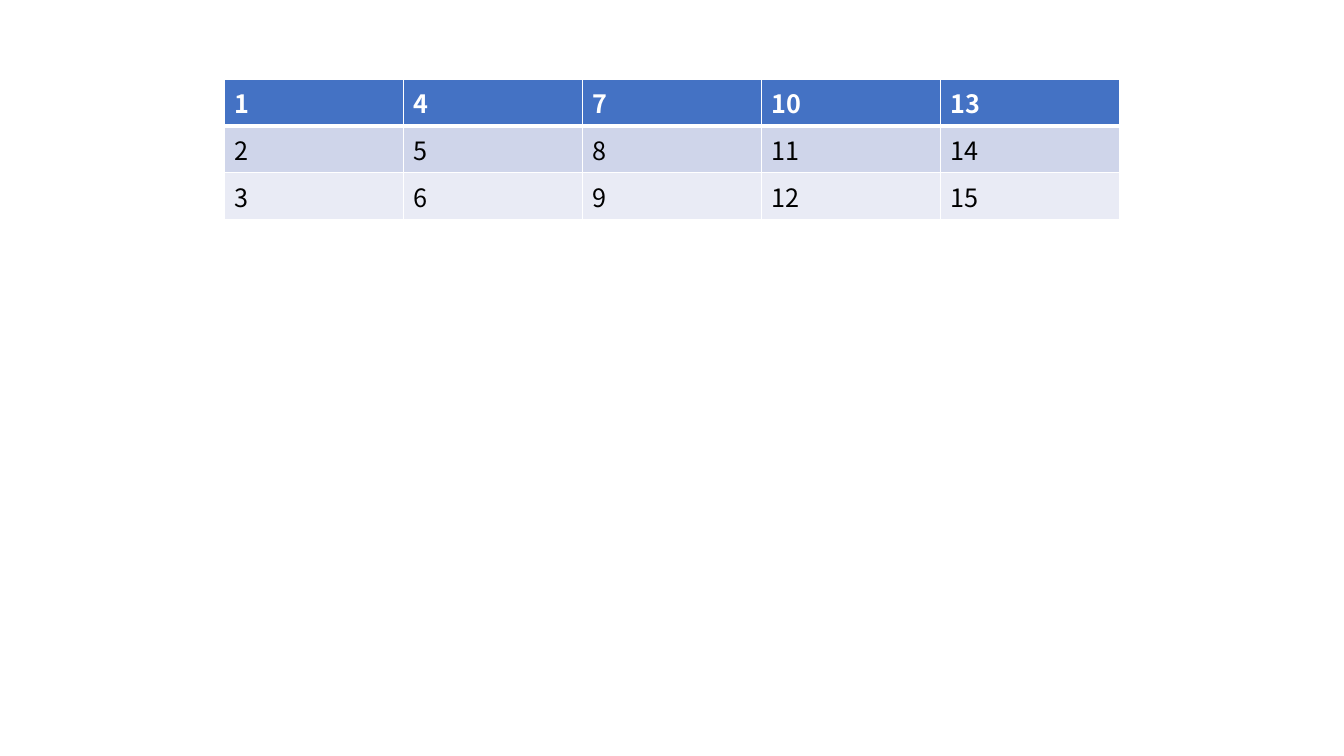
from lxml import etree
from pptx import Presentation
from pptx.dml.color import RGBColor
from pptx.oxml.ns import qn
from pptx.util import Inches, Pt

WHITE = RGBColor(0xFF, 0xFF, 0xFF)
BLACK = RGBColor(0x00, 0x00, 0x00)
HEADER_BLUE = RGBColor(0x44, 0x72, 0xC4)
BANDS = (RGBColor(0xCF, 0xD5, 0xEA), RGBColor(0xE9, 0xEB, 0xF5))

SLIDE_WIDTH, SLIDE_HEIGHT = Inches(13.33), Inches(7.5)
BLANK_LAYOUT = 6
ROWS, COLUMNS = 3, 5
TABLE_WIDTH = SLIDE_WIDTH * 2 // 3
TABLE_LEFT = (SLIDE_WIDTH - TABLE_WIDTH) // 2
TABLE_TOP = Inches(0.79)
ROW_HEIGHT = Inches(0.41)
THIN, THICK = Pt(1), Pt(3)


def draw_borders(cell, top, bottom):
    """Give the cell white borders, thin at the sides."""
    properties = cell._tc.get_or_add_tcPr()
    widths = {"a:lnL": THIN, "a:lnR": THIN, "a:lnT": top, "a:lnB": bottom}
    for side, width in widths.items():
        line = etree.SubElement(properties, qn(side), w=str(width))
        fill = etree.SubElement(line, qn("a:solidFill"))
        etree.SubElement(fill, qn("a:srgbClr"), val=str(WHITE))


def fill_cell(cell, text, background, color, bold):
    cell.fill.solid()
    cell.fill.fore_color.rgb = background
    span = cell.text_frame.paragraphs[0].add_run()
    span.text = text
    span.font.color.rgb = color
    formats = {"name": "Noto Sans CJK KR", "size": Pt(18), "bold": bold}
    for name, value in formats.items():
        setattr(span.font, name, value)


def add_number_table(page):
    """Add a table that counts down each column in turn."""
    frame = page.shapes.add_table(
        ROWS, COLUMNS, TABLE_LEFT, TABLE_TOP, TABLE_WIDTH, ROW_HEIGHT * ROWS
    )
    table = frame.table
    for row in range(ROWS):
        header = row == 0
        background = HEADER_BLUE if header else BANDS[(row - 1) % 2]
        top = THICK if row == 1 else THIN
        bottom = THICK if header else THIN
        for column in range(COLUMNS):
            cell = table.cell(row, column)
            number = column * ROWS + row + 1
            draw_borders(cell, top, bottom)
            fill_cell(cell, str(number), background, WHITE if header else BLACK, header)


def main():
    deck = Presentation()
    deck.slide_width, deck.slide_height = SLIDE_WIDTH, SLIDE_HEIGHT
    page = deck.slides.add_slide(deck.slide_layouts[BLANK_LAYOUT])
    add_number_table(page)
    deck.save("out.pptx")


if __name__ == "__main__":
    main()
